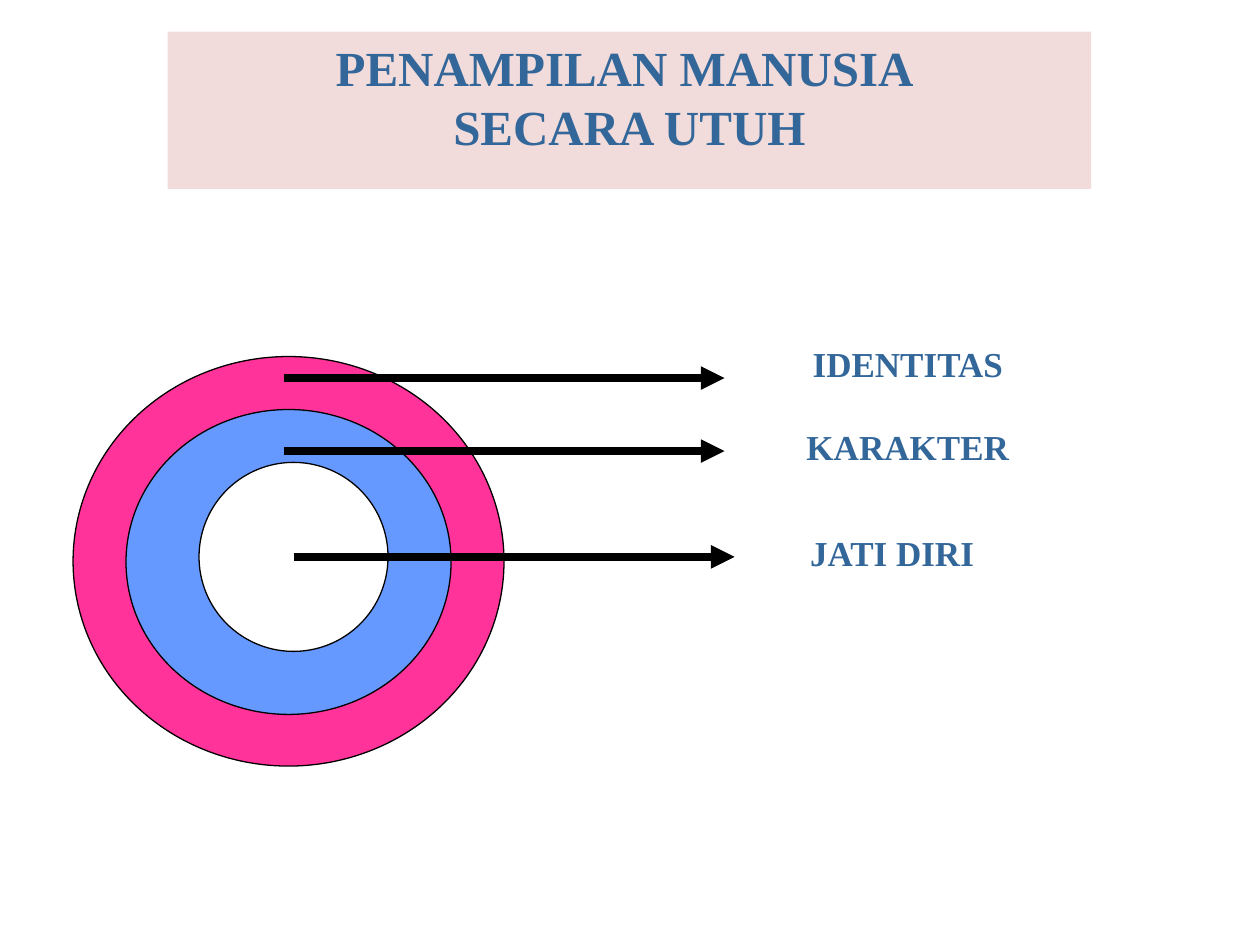
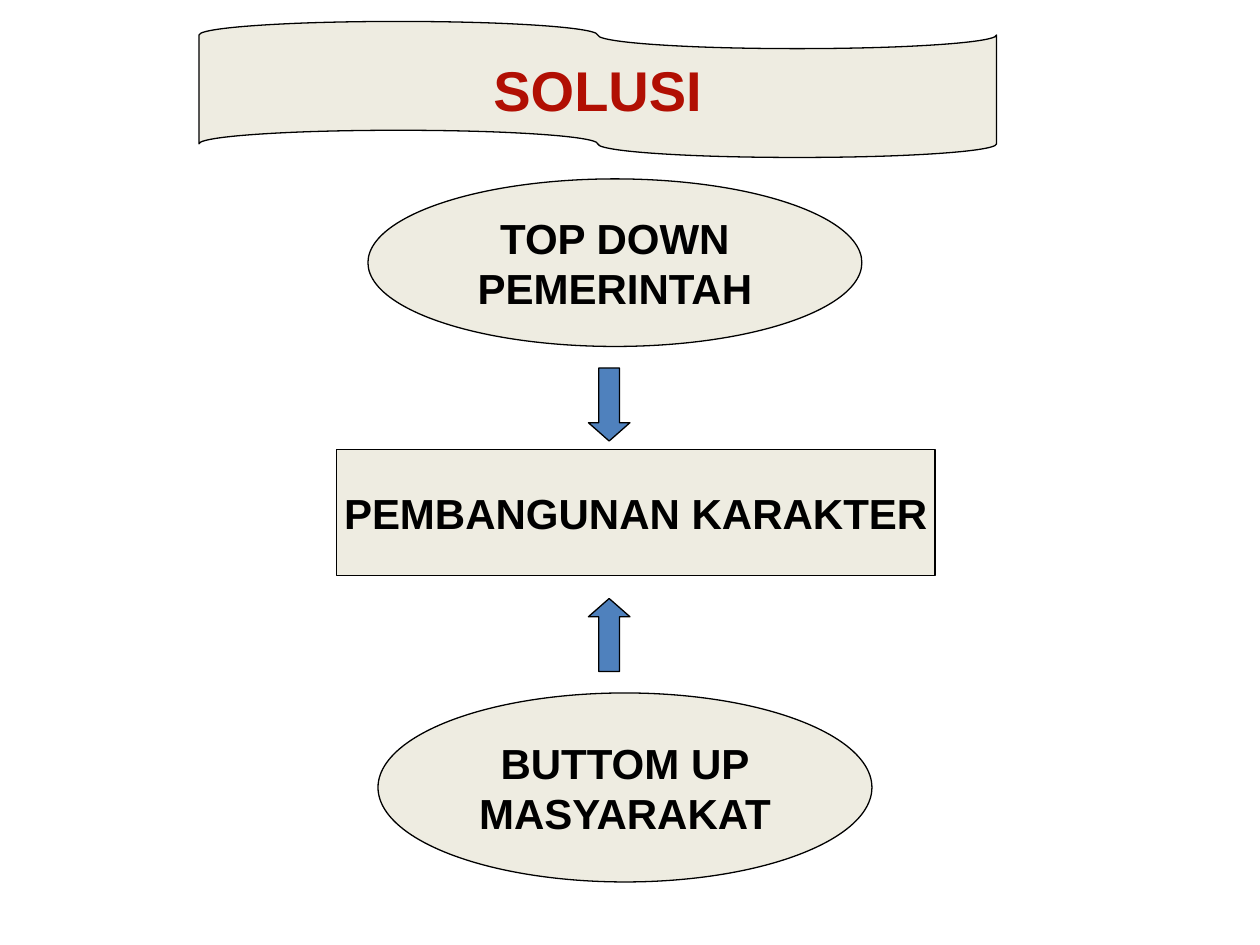
from dataclasses import dataclass

import pptx
import pptx.dml.color
import pptx.enum.shapes
import pptx.enum.text
import pptx.oxml
import pptx.oxml.ns
import pptx.util

Inches = pptx.util.Inches
Pt = pptx.util.Pt
SHAPE = pptx.enum.shapes.MSO_SHAPE
ANCHOR = pptx.enum.text.MSO_ANCHOR


@dataclass(frozen=True)
class Theme:
    serif: str = "Times New Roman"
    sans: str = "Arial"
    steel: str = "336699"
    blush: str = "F2DCDB"
    pink: str = "FF3399"
    sky: str = "6699FF"
    white: str = "FFFFFF"
    black: str = "000000"
    cream: str = "EEECE1"
    red: str = "B10F03"
    blue: str = "4F81BD"
    label_size: int = 20
    box_size: int = 24
    title_size: int = 28
    banner_size: int = 32
    outline: float = 0.75
    pointer: float = 4.5


THEME = Theme()


def rgb(value):
    return pptx.dml.color.RGBColor.from_string(value)


def write(holder, text, *, size, font=THEME.sans, color=THEME.black,
          anchor=ANCHOR.MIDDLE):
    frame = holder.text_frame
    frame.word_wrap = False
    frame.vertical_anchor = anchor
    for number, line in enumerate(text.split("\n")):
        paragraph = frame.paragraphs[0] if number == 0 else frame.add_paragraph()
        paragraph.alignment = pptx.enum.text.PP_ALIGN.CENTER
        run = paragraph.add_run()
        run.text = line
        run.font.name = font
        run.font.size = Pt(size)
        run.font.bold = True
        run.font.color.rgb = rgb(color)


def add_figure(slide, kind, place, fill, outlined=True):
    figure = slide.shapes.add_shape(kind, *map(Inches, place))
    figure.shadow.inherit = False
    figure.fill.solid()
    figure.fill.fore_color.rgb = rgb(fill)
    if outlined:
        figure.line.color.rgb = rgb(THEME.black)
        figure.line.width = Pt(THEME.outline)
    else:
        figure.line.fill.background()
    return figure


def add_pointer(slide, left, y, length):
    pointer = slide.shapes.add_connector(
        pptx.enum.shapes.MSO_CONNECTOR.STRAIGHT,
        Inches(left), Inches(y), Inches(left + length), Inches(y))
    pointer.line.color.rgb = rgb(THEME.black)
    pointer.line.width = Pt(THEME.pointer)
    head = pptx.oxml.parse_xml(
        f'<a:tailEnd {pptx.oxml.ns.nsdecls("a")} type="triangle"/>')
    pointer.line._get_or_add_ln().append(head)
    effects = pptx.oxml.parse_xml(f'<a:effectLst {pptx.oxml.ns.nsdecls("a")}/>')
    pointer._element.spPr.append(effects)


def add_label(slide, text, top, width):
    label = slide.shapes.add_textbox(
        Inches(6.08), Inches(top), Inches(width), Inches(0.33))
    write(label, text, size=THEME.label_size, font=THEME.serif,
          color=THEME.steel, anchor=ANCHOR.TOP)


def add_block_arrow(slide, kind, top):
    arrow = add_figure(slide, kind, (4.67, top, 0.33, 0.58), THEME.blue)
    arrow.adjustments[0] = 0.5
    arrow.adjustments[1] = 0.44


def build_layers(slide):
    title = add_figure(slide, SHAPE.RECTANGLE, (1.33, 0.25, 7.33, 1.25),
                       THEME.blush, outlined=False)
    write(title, "PENAMPILAN MANUSIA \nSECARA UTUH", size=THEME.title_size,
          font=THEME.serif, color=THEME.steel, anchor=ANCHOR.TOP)

    for place, fill in (
        ((0.58, 2.83, 3.42, 3.25), THEME.pink),
        ((1, 3.25, 2.58, 2.42), THEME.sky),
        ((1.58, 3.67, 1.5, 1.5), THEME.white),
    ):
        add_figure(slide, SHAPE.OVAL, place, fill)

    for layer, start, y, label_top, label_width in (
        ("IDENTITAS", 2.25, 3, 2.67, 2.25),
        ("KARAKTER", 2.25, 3.58, 3.33, 2.25),
        ("JATI DIRI", 2.33, 4.42, 4.17, 2),
    ):
        add_pointer(slide, start, y, 3.5)
        add_label(slide, layer, label_top, label_width)


def build_solution(slide):
    banner = add_figure(slide, SHAPE.FLOWCHART_PUNCHED_TAPE,
                        (1.58, 0.17, 6.33, 1.08), THEME.cream)
    banner._element.spPr.xfrm.set("flipH", "1")
    write(banner, "SOLUSI", size=THEME.banner_size, color=THEME.red)

    for kind, place, text in (
        (SHAPE.OVAL, (2.92, 1.42, 3.92, 1.33), "TOP DOWN\nPEMERINTAH"),
        (SHAPE.RECTANGLE, (2.67, 3.57, 4.75, 1), "PEMBANGUNAN KARAKTER"),
        (SHAPE.OVAL, (3, 5.5, 3.92, 1.5), "BUTTOM UP\nMASYARAKAT"),
    ):
        write(add_figure(slide, kind, place, THEME.cream), text,
              size=THEME.box_size)

    add_block_arrow(slide, SHAPE.DOWN_ARROW, 2.92)
    add_block_arrow(slide, SHAPE.UP_ARROW, 4.75)


def main():
    deck = pptx.Presentation()
    deck.slide_width = Inches(10)
    deck.slide_height = Inches(7.5)
    for build in (build_layers, build_solution):
        build(deck.slides.add_slide(deck.slide_layouts[6]))
    deck.save("out.pptx")


if __name__ == "__main__":
    main()
